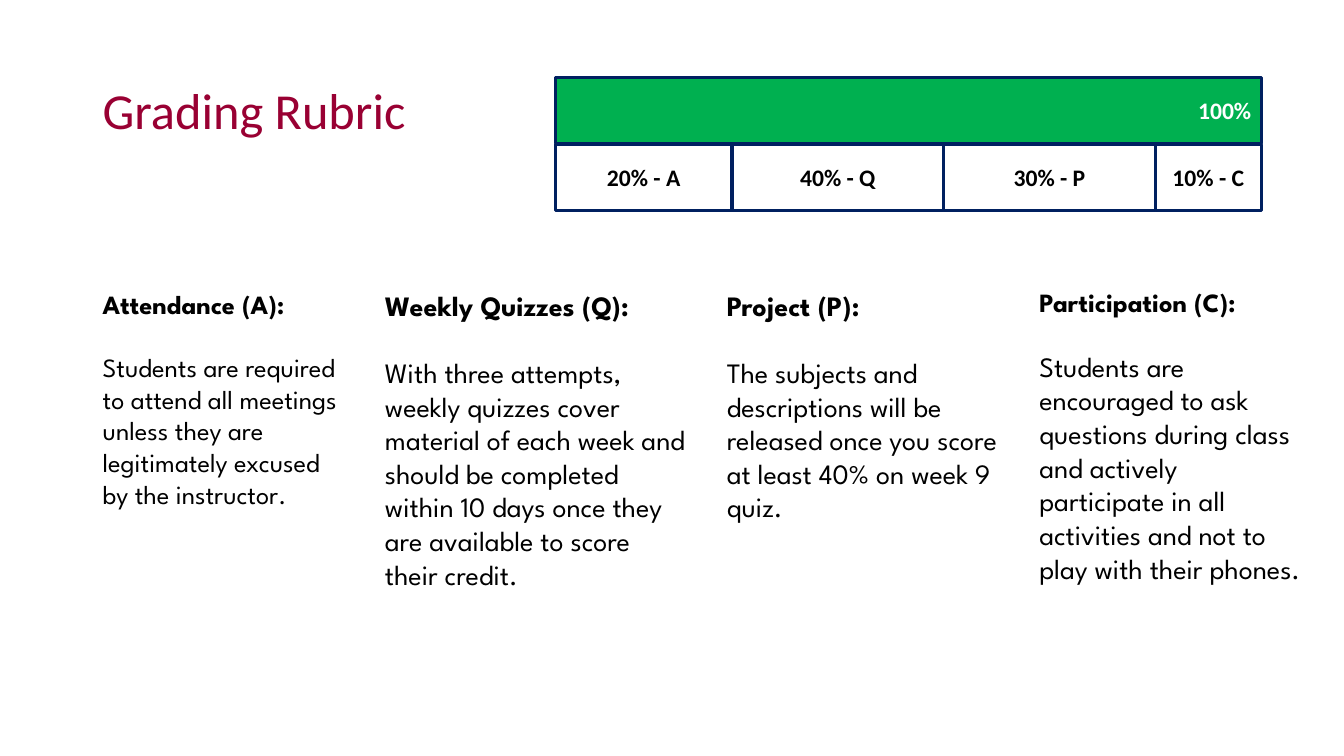
from pptx import Presentation
from pptx.dml.color import RGBColor
from pptx.enum.shapes import MSO_SHAPE
from pptx.enum.text import MSO_ANCHOR, PP_ALIGN
from pptx.util import Inches, Pt

COLORS = {"title": "990033", "outline": "002060", "total": "00B050",
          "text": "000000", "light": "FFFFFF"}
BAR_LEFT, BAR_WIDTH = 5.51, 7
WEIGHTS = [("20% - A", 0.25), ("40% - Q", 0.3), ("30% - P", 0.3), ("10% - C", 0.15)]
CRITERIA = [
    ("Attendance (A):", "Students are required to attend all meetings unless they are "
     "legitimately excused by the instructor.", (0.92, 2.81, 2.62, 3), 18.8, 18.8),
    ("Weekly Quizzes (Q):", "With three attempts, weekly quizzes cover material of each week "
     "and should be completed within 10 days once they are available to score their credit.",
     (3.72, 2.81, 3.2, 3.47), 20, 20),
    ("Project (P):", "The subjects and descriptions will be released once you score "
     "at least 40% on week 9 quiz.", (7.11, 2.81, 2.92, 2.46), 20, 20),
    ("Participation (C):", "Students are encouraged to ask questions during class and actively "
     "participate in all activities and not to play with their phones.",
     (10.21, 2.79, 2.79, 3.47), 18.8, 20),
]


class RubricSlide:
    """Draws the grading rubric elements on one slide in a shared style."""

    def __init__(self, slide):
        self.slide = slide
        self.body_font = "League Spartan"
        self.label_font = "Calibri"
        self.line_height = 1.2

    def add_text(self, paragraph, text, color="text", **formats):
        run = paragraph.add_run()
        run.text = text
        for name, value in formats.items():
            setattr(run.font, name, value)
        run.font.color.rgb = RGBColor.from_string(COLORS[color])

    def text_frame(self, box, anchor=MSO_ANCHOR.TOP):
        shape = self.slide.shapes.add_textbox(*map(Inches, box))
        frame = shape.text_frame
        frame.word_wrap = True
        frame.vertical_anchor = anchor
        return frame

    def title(self, text, box):
        paragraph = self.text_frame(box, MSO_ANCHOR.MIDDLE).paragraphs[0]
        paragraph.line_spacing = 0.9
        self.add_text(paragraph, text, "title", name=self.label_font, size=Pt(36))

    def bar(self, text, box, fill=None, color="text", align=PP_ALIGN.CENTER):
        shape = self.slide.shapes.add_shape(MSO_SHAPE.RECTANGLE, *map(Inches, box))
        shape.shadow.inherit = False
        if fill:
            shape.fill.solid()
            shape.fill.fore_color.rgb = RGBColor.from_string(COLORS[fill])
        else:
            shape.fill.background()
        shape.line.color.rgb = RGBColor.from_string(COLORS["outline"])
        shape.line.width = Pt(2.25)
        shape.text_frame.vertical_anchor = MSO_ANCHOR.MIDDLE
        paragraph = shape.text_frame.paragraphs[0]
        paragraph.alignment = align
        self.add_text(paragraph, text, color, name=self.label_font, size=Pt(16.9), bold=True)

    def criterion(self, heading, description, box, heading_size, body_size):
        frame = self.text_frame(box)
        self.add_text(frame.paragraphs[0], heading,
                      name=self.body_font, size=Pt(heading_size), bold=True)
        paragraph = frame.add_paragraph()
        paragraph.space_before = Pt(heading_size * self.line_height)
        self.add_text(paragraph, description,
                      name=self.body_font, size=Pt(body_size), bold=False)


def main():
    presentation = Presentation()
    presentation.slide_width = Inches(13.33)
    presentation.slide_height = Inches(7.5)
    rubric = RubricSlide(presentation.slides.add_slide(presentation.slide_layouts[6]))

    rubric.title("Grading Rubric", (0.92, 0.4, 5.75, 1.45))
    left = BAR_LEFT
    for label, share in WEIGHTS:
        width = BAR_WIDTH * share
        rubric.bar(label, (left, 1.43, width, 0.66))
        left += width
    rubric.bar("100%", (BAR_LEFT, 0.77, BAR_WIDTH, 0.65), "total", "light", PP_ALIGN.RIGHT)
    for criterion in CRITERIA:
        rubric.criterion(*criterion)

    presentation.save("out.pptx")


if __name__ == "__main__":
    main()
